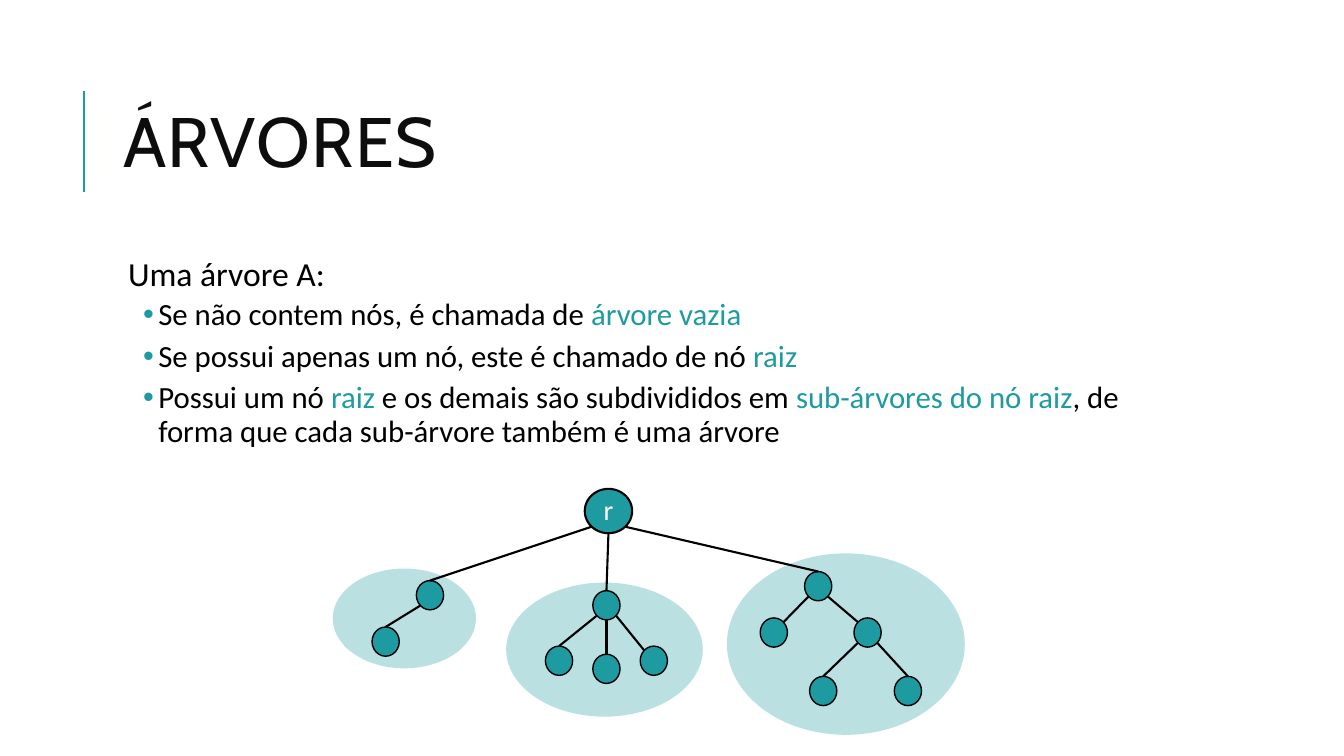
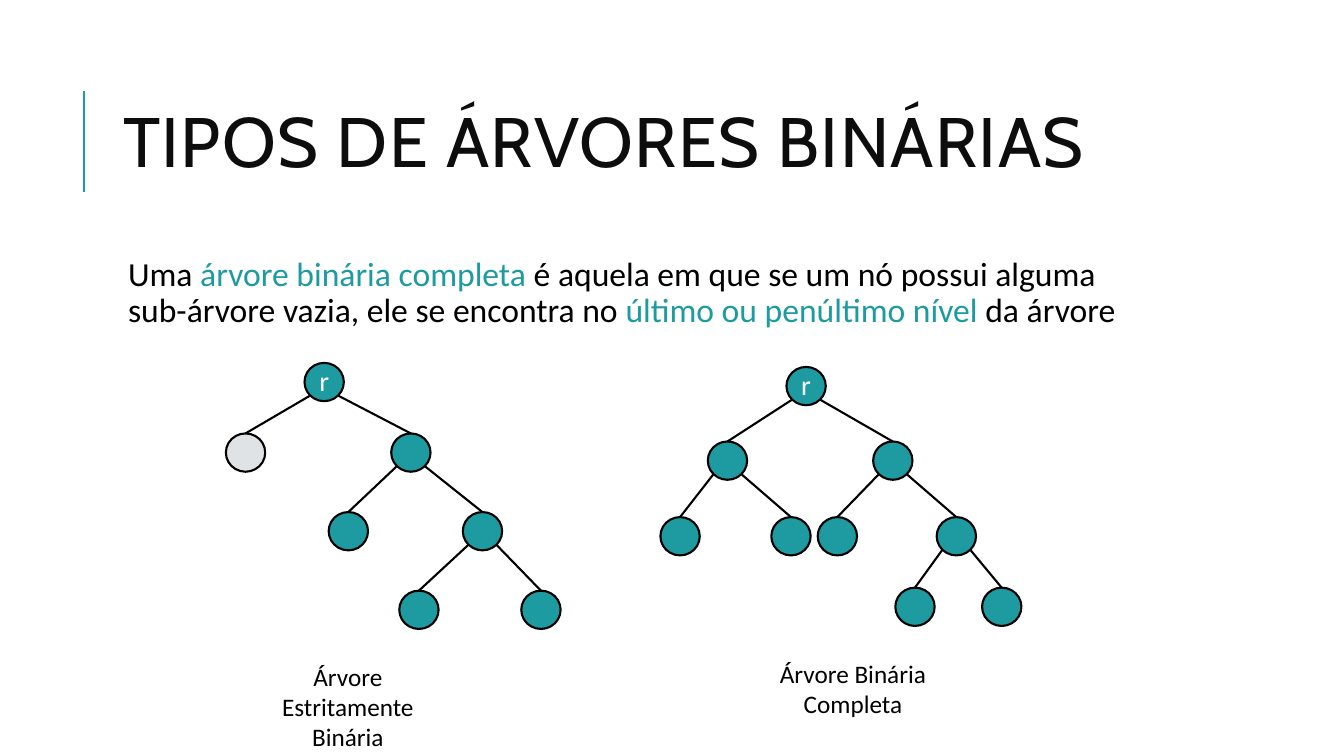
import pptx
import pptx.util
import pptx.dml.color
import pptx.enum.shapes
import pptx.enum.text
import pptx.oxml.ns
import pptx.oxml.xmlchemy
import lxml.etree

Inches = pptx.util.Inches
Pt = pptx.util.Pt
qn = pptx.oxml.ns.qn
ALIGN = pptx.enum.text.PP_ALIGN
ANCHOR = pptx.enum.text.MSO_ANCHOR

HUES = {"teal": "1D9BA1", "black": "000000", "ink": "0D0D0D",
        "white": "FFFFFF", "grey": "DFE3E5"}


def rgb(hue):
    return pptx.dml.color.RGBColor.from_string(HUES[hue])


class Deck:
    """Shared style and the current slide."""

    def __init__(self):
        self.show = pptx.Presentation()
        self.show.slide_width = Inches(13.33)
        self.show.slide_height = Inches(7.5)
        self.slide = None

    def style(self, run, size, hue, face="Calibri"):
        run.font.size = Pt(size)
        run.font.name = face
        run.font.color.rgb = rgb(hue)

    def place(self, shape, left, top, width, height):
        shape.left, shape.top = Inches(left), Inches(top)
        shape.width, shape.height = Inches(width), Inches(height)

    def inset(self, frame, left, top, right, bottom):
        frame.margin_left, frame.margin_top = Inches(left), Inches(top)
        frame.margin_right, frame.margin_bottom = Inches(right), Inches(bottom)

    # Slide with its side bar and title
    def start(self, title):
        self.slide = self.show.slides.add_slide(self.show.slide_layouts[1])
        self.line(Inches(0.83), Inches(1.9), Inches(0.83), Inches(0.9), "teal")
        head = self.slide.shapes.title
        self.place(head, 1.12, 0.64, 10.63, 1.64)
        frame = head.text_frame
        frame.text = title
        frame.word_wrap = True
        frame.auto_size = pptx.enum.text.MSO_AUTO_SIZE.NONE
        frame.vertical_anchor = ANCHOR.MIDDLE
        para = frame.paragraphs[0]
        para.alignment = ALIGN.LEFT
        para.line_spacing = 0.8
        run = para.runs[0]
        self.style(run, 50, "ink", "Cabin")
        run.font.element.set("spc", "100") if hasattr(run.font, "element") \
            else run._r.get_or_add_rPr().set("spc", "100")

    # Lead paragraph and bullets; text between asterisks is teal
    def body(self, lead, *items):
        box = self.slide.placeholders[1]
        self.place(box, 1.12, 2.5, 10.63, 4.4)
        frame = box.text_frame
        frame.auto_size = pptx.enum.text.MSO_AUTO_SIZE.NONE
        self.inset(frame, 0.05, 0.05, 0.05, 0.05)
        for num, text in enumerate((lead,) + items):
            para = frame.add_paragraph() if num else frame.paragraphs[0]
            para.line_spacing = 0.9
            para.space_before = Pt(2 if num else 0)
            para.space_after = Pt(4 if num else 2)
            self.bullet(para, num > 0)
            self.rich(para, text, 22 if num else 24)

    def bullet(self, para, shown):
        para.level = int(shown)
        props = para._p.get_or_add_pPr()
        props.set("marL", str(Inches(0.4 if shown else 0.1)))
        props.set("indent", str(Inches(-0.15 if shown else 0)))
        if shown:
            tint = lxml.etree.SubElement(props, qn("a:buClr"))
            lxml.etree.SubElement(tint, qn("a:srgbClr"), val=HUES["teal"])
            lxml.etree.SubElement(props, qn("a:buChar"), char="•")
        else:
            lxml.etree.SubElement(props, qn("a:buNone"))

    def rich(self, para, text, size):
        for num, part in enumerate(text.split("*")):
            for row, piece in enumerate(part.split("\n")):
                if row:
                    para.add_line_break()
                if piece:
                    run = para.add_run()
                    run.text = piece
                    self.style(run, size, "teal" if num % 2 else "black")

    # Centred caption
    def label(self, text, left, top, width):
        box = self.slide.shapes.add_textbox(
            Inches(left), Inches(top), Inches(width), Inches(0.71))
        frame = box.text_frame
        frame.text = text
        frame.word_wrap = True
        for para in frame.paragraphs:
            para.alignment = ALIGN.CENTER
            self.style(para.runs[0], 18, "black")

    # Ellipses
    def paint(self, shape, hue):
        shape.fill.solid()
        shape.fill.fore_color.rgb = rgb(hue)

    def oval(self, left, top, width, height):
        shape = self.slide.shapes.add_shape(
            pptx.enum.shapes.MSO_SHAPE.OVAL, Inches(left), Inches(top),
            Inches(width), Inches(height))
        shape.shadow.inherit = False
        self.paint(shape, "teal")
        return shape

    def halo(self, left, top, width, height):
        shape = self.oval(left, top, width, height)
        tint = next(shape._element.spPr.iter(qn("a:srgbClr")))
        lxml.etree.SubElement(tint, qn("a:alpha"), val="30000")
        shape.line.fill.background()

    def node(self, left, top, size, weight, text=""):
        shape = self.oval(left, top, *size)
        shape.line.color.rgb = rgb("black")
        shape.line.width = Pt(weight)
        if text:
            frame = shape.text_frame
            frame.text = text
            self.inset(frame, 0, 0, 0, 0.04)
            frame.vertical_anchor = ANCHOR.MIDDLE
            frame.paragraphs[0].alignment = ALIGN.CENTER
            self.style(frame.paragraphs[0].runs[0], 20, "white")
        return shape

    # Lines
    def line(self, x1, y1, x2, y2, hue="black"):
        edge = self.slide.shapes.add_connector(
            pptx.enum.shapes.MSO_CONNECTOR.STRAIGHT, x1, y1, x2, y2)
        edge.line.color.rgb = rgb(hue)
        edge.line.width = Pt(1.5)
        lxml.etree.SubElement(edge._element.spPr, qn("a:effectLst"))
        return edge

    def rim(self, shape, side, down):
        """Point on an ellipse: side -1, 0, 1; down -1 top, 1 bottom."""
        reach = 0.707 if side else 1
        return (int(shape.left + shape.width / 2 * (1 + side * reach)),
                int(shape.top + shape.height / 2 * (1 + down * reach)))

    def link(self, par, kid, tip):
        gap = (kid.left + kid.width / 2) - (par.left + par.width / 2)
        side = 0 if abs(gap) < Inches(0.1) else (1 if gap > 0 else -1)
        edge = self.line(*self.rim(par, side, 1), *self.rim(kid, tip, -1))
        if not tip:
            edge.end_connect(kid, 0)

    # Tree: each spot is left, top, index of parent, side of the line's tip
    def tree(self, root, size, weight, spots):
        nodes = [root]
        for left, top, par, tip in spots:
            kid = self.node(left, top, size, weight)
            self.link(nodes[par], kid, tip)
            nodes.append(kid)
        return nodes


def main():
    deck = Deck()

    # Definition of a tree
    deck.start("ÁRVORES")
    deck.body(
        "Uma árvore A:",
        "Se não contem nós, é chamada de *árvore vazia*",
        "Se possui apenas um nó, este é chamado de nó *raiz*",
        "Possui um nó *raiz* e os demais são subdivididos em "
        "*sub-árvores do nó raiz*, de forma que cada sub-árvore "
        "também é uma árvore")
    for area in ((3.3, 5.64, 1.42, 0.99), (5.02, 5.78, 1.95, 1.33),
                 (7.21, 5.49, 2.36, 1.8)):
        deck.halo(*area)
    root = deck.node(5.8, 4.85, (0.47, 0.44), 1.5, "r")
    deck.tree(root, (0.27, 0.29), 1, (
        (4.13, 5.76, 0, 0), (5.88, 5.86, 0, 0), (7.98, 5.67, 0, 0),
        (3.69, 6.22, 1, 0),
        (5.41, 6.41, 2, 0), (5.88, 6.49, 2, 0), (6.35, 6.41, 2, -1),
        (7.54, 6.13, 3, 1), (8.47, 6.13, 3, -1),
        (8.03, 6.71, 9, 0), (8.87, 6.71, 9, 0)))

    # Kinds of binary tree
    deck.start("TIPOS DE ÁRVORES BINÁRIAS")
    deck.body(
        "Uma *árvore binária completa *é aquela em que se um nó possui "
        "alguma \nsub-árvore vazia, ele se encontra no "
        "*último ou penúltimo nível *da árvore")
    size = (0.39, 0.38)

    # Strictly binary tree
    root = deck.node(3.02, 3.6, size, 1.5, "r")
    nodes = deck.tree(root, size, 1.5, (
        (2.24, 4.3, 0, 0), (3.88, 4.3, 0, 0),
        (3.26, 5.08, 2, 0), (4.59, 5.08, 2, 0),
        (3.96, 5.86, 4, 0), (5.17, 5.86, 4, 0)))
    deck.paint(nodes[1], "grey")
    deck.label("Árvore Estritamente\nBinária", 2.6, 6.51, 1.7)

    # Complete binary tree
    root = deck.node(7.8, 3.64, size, 1.5, "r")
    deck.tree(root, size, 1.5, (
        (7.02, 4.38, 0, 0), (8.66, 4.38, 0, 0),
        (6.55, 5.13, 1, 0), (7.65, 5.13, 1, 0),
        (8.11, 5.13, 2, 0), (9.29, 5.13, 2, 0),
        (8.88, 5.83, 6, 0), (9.74, 5.83, 6, 0)))
    deck.label("Árvore Binária\nCompleta", 7.59, 6.48, 1.74)

    deck.show.save("out.pptx")


if __name__ == "__main__":
    main()
